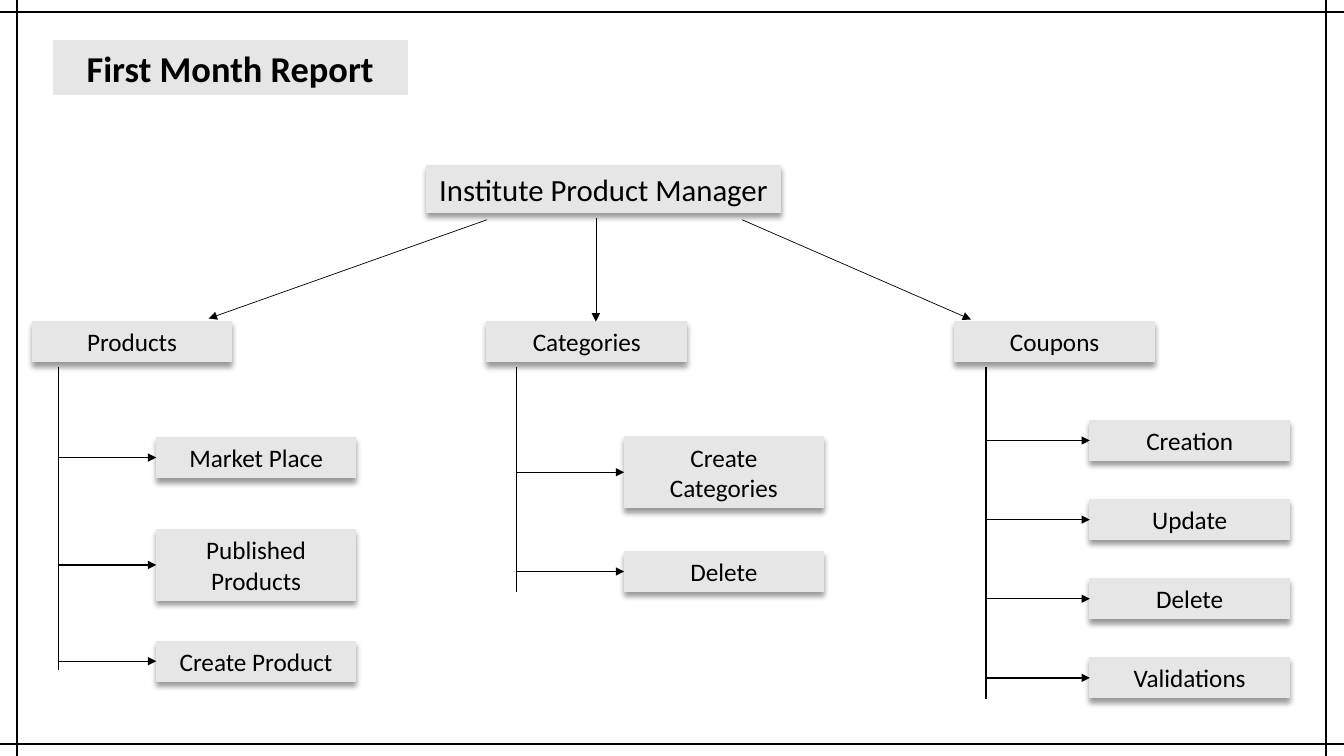
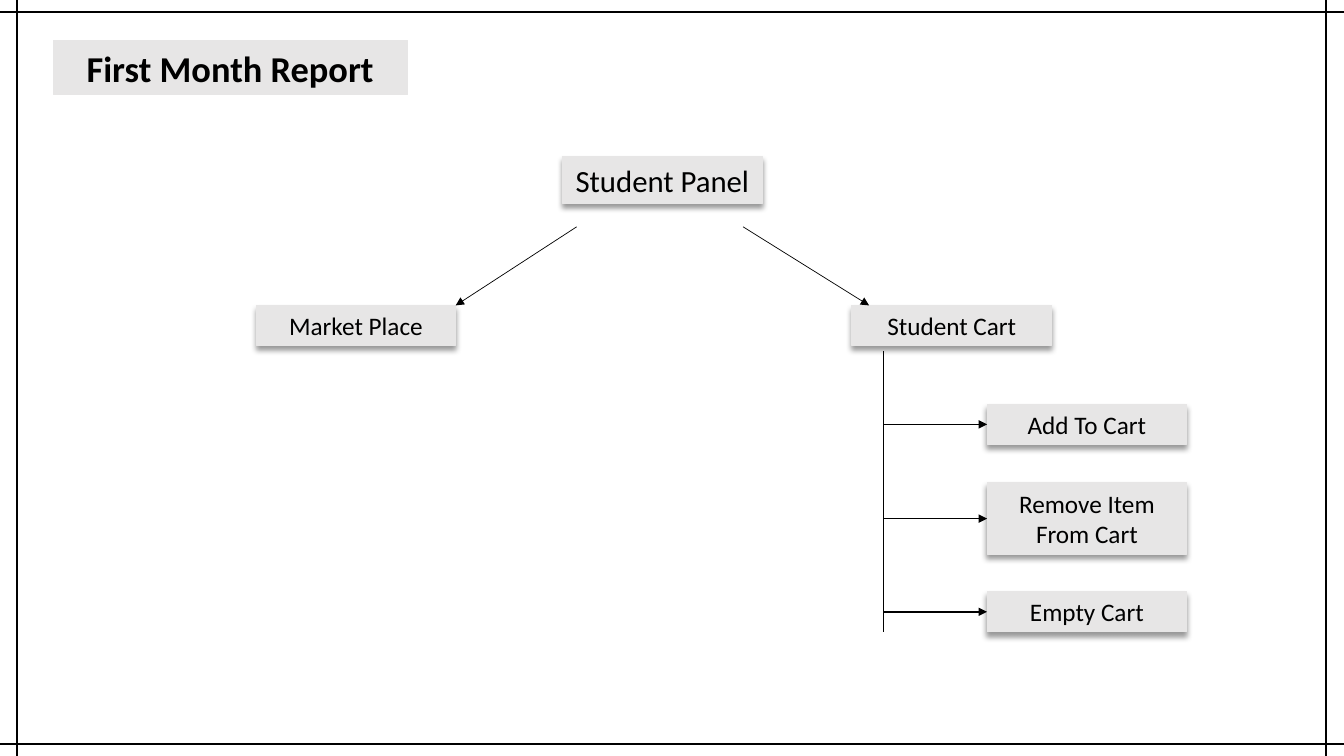
from lxml import etree
from pptx import Presentation
from pptx.dml.color import RGBColor
from pptx.enum.shapes import MSO_CONNECTOR, MSO_SHAPE
from pptx.enum.text import MSO_ANCHOR, MSO_AUTO_SIZE, PP_ALIGN
from pptx.oxml.ns import qn
from pptx.util import Inches, Pt

RECT = MSO_SHAPE.RECTANGLE
LINE = MSO_CONNECTOR.STRAIGHT
MIDDLE = MSO_ANCHOR.MIDDLE
GROW = MSO_AUTO_SIZE.SHAPE_TO_FIT_TEXT
CENTER = PP_ALIGN.CENTER
GREY = RGBColor(0xE7, 0xE6, 0xE6)
BLACK = RGBColor(0, 0, 0)
FONT = "Calibri"

TITLE = "First Month Report"
FRAME = [
    ((0, 0.12), (13.33, 0.12)),
    ((0, 7.38), (13.33, 7.38)),
    ((0.17, 7.5), (0.17, 0)),
    ((13.15, 7.5), (13.15, 0)),
]
WIDE, BOX = 3.51, 1.98
ROW = {1: 0.4, 2: 0.71}
STEP = 0.785

COUPONS = ["Creation", "Update", "Delete", "Validations"]
SLIDES = [
    {
        "root": ("Institute Product Manager", 4.23, 1.64, WIDE),
        "top": 3.19,
        "arrows": [
            ((4.83, 2.18), (2.07, 3.16)),
            ((7.36, 2.18), (9.63, 3.17)),
            ((5.91, 2.16), (5.91, 3.19)),
        ],
        "trees": [
            {"head": "Products", "left": 0.32, "trunk": 0.58, "end": 6.65, "indent": 1.55,
             "leaves": [("Market Place", 4.34, 1), ("Published Products", 5.25, 2),
                        ("Create Product", 6.36, 1)]},
            {"head": "Categories", "left": 4.83, "trunk": 5.12, "end": 5.87, "indent": 6.19,
             "leaves": [("Create Categories", 4.33, 2), ("Delete", 5.47, 1)]},
            {"head": "Coupons", "left": 9.47, "trunk": 9.78, "end": 6.93, "indent": 10.81,
             "leaves": [(text, 4.17 + i * STEP, 1) for i, text in enumerate(COUPONS)]},
        ],
    },
    {
        "root": ("Student Panel", 5.58, 1.55, BOX),
        "top": 3.03,
        "arrows": [
            ((5.72, 2.25), (4.52, 3.03)),
            ((7.37, 2.25), (8.62, 3.03)),
        ],
        "trees": [
            {"head": "Market Place", "left": 2.54, "leaves": []},
            {"head": "Student Cart", "left": 8.45, "trunk": 8.76, "end": 6.27, "indent": 9.79,
             "leaves": [("Add To Cart", 4.01, 1), ("Remove Item From Cart", 4.79, 2),
                        ("Empty Cart", 5.87, 1)]},
        ],
    },
]


def add_shade(shape):
    effect = shape._element.spPr.find(qn("a:effectLst"))
    shade = etree.SubElement(effect, qn("a:outerShdw"), blurRad=str(Pt(4)),
                             dist=str(Pt(3)), dir="5400000", algn="t", rotWithShape="0")
    color = etree.SubElement(shade, qn("a:srgbClr"), val=str(BLACK))
    etree.SubElement(color, qn("a:alpha"), val="40000")


def add_box(shapes, text, left, top, width, height, size=18, bold=False, shade=True):
    box = shapes.add_shape(RECT, Inches(left), Inches(top), Inches(width), Inches(height))
    box.shadow.inherit = False
    if shade:
        add_shade(box)
    box.fill.solid()
    box.fill.fore_color.rgb = GREY
    box.line.color.rgb = GREY
    box.line.width = Pt(0.75)
    frame = box.text_frame
    frame.word_wrap = True
    frame.auto_size = GROW
    frame.vertical_anchor = MIDDLE
    para = frame.paragraphs[0]
    para.alignment = CENTER
    run = para.add_run()
    run.text = text
    font = run.font
    font.name, font.size, font.bold = FONT, Pt(size), bold
    font.color.rgb = BLACK


def add_line(shapes, start, end, width, arrow=False):
    line = shapes.add_connector(LINE, *(Inches(v) for v in (*start, *end)))
    line.line.color.rgb = BLACK
    line.line.width = Pt(width)
    props = line._element.spPr
    if arrow:
        etree.SubElement(props.find(qn("a:ln")), qn("a:tailEnd"), type="triangle")
    etree.SubElement(props, qn("a:effectLst"))


def add_tree(shapes, tree, top):
    if tree["leaves"]:
        shapes = shapes.add_group_shape().shapes
    add_box(shapes, tree["head"], tree["left"], top, BOX, ROW[1])
    if not tree["leaves"]:
        return
    trunk, indent = tree["trunk"], tree["indent"]
    add_line(shapes, (trunk, top + 0.45), (trunk, tree["end"]), 1)
    for text, y, rows in tree["leaves"]:
        height = ROW[rows]
        mid = y + height / 2
        add_box(shapes, text, indent, y, BOX, height)
        add_line(shapes, (trunk, mid), (indent, mid), 1, True)


def add_base(shapes):
    for start, end in FRAME:
        add_line(shapes, start, end, 1.75)
    add_box(shapes, TITLE, 0.53, 0.4, WIDE, 0.54, 26, True, False)


deck = Presentation()
deck.slide_width, deck.slide_height = Inches(13.33), Inches(7.5)
blank = deck.slide_layouts[6]
for page in SLIDES:
    shapes = deck.slides.add_slide(blank).shapes
    add_base(shapes)
    add_box(shapes, *page["root"], 0.47, 22)
    for tree in page["trees"]:
        add_tree(shapes, tree, page["top"])
    for start, end in page["arrows"]:
        add_line(shapes, start, end, 0.5, True)
deck.save("out.pptx")
